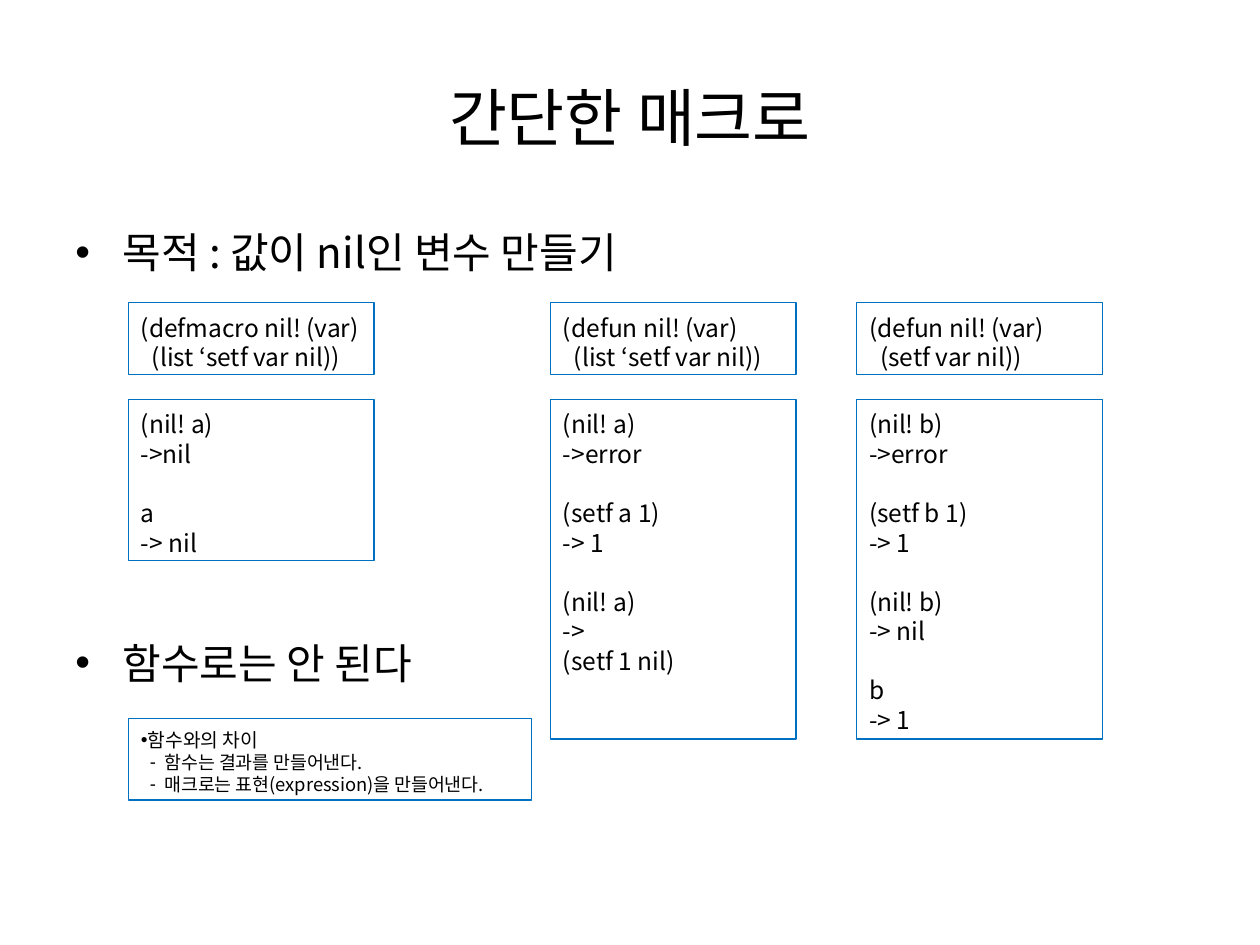
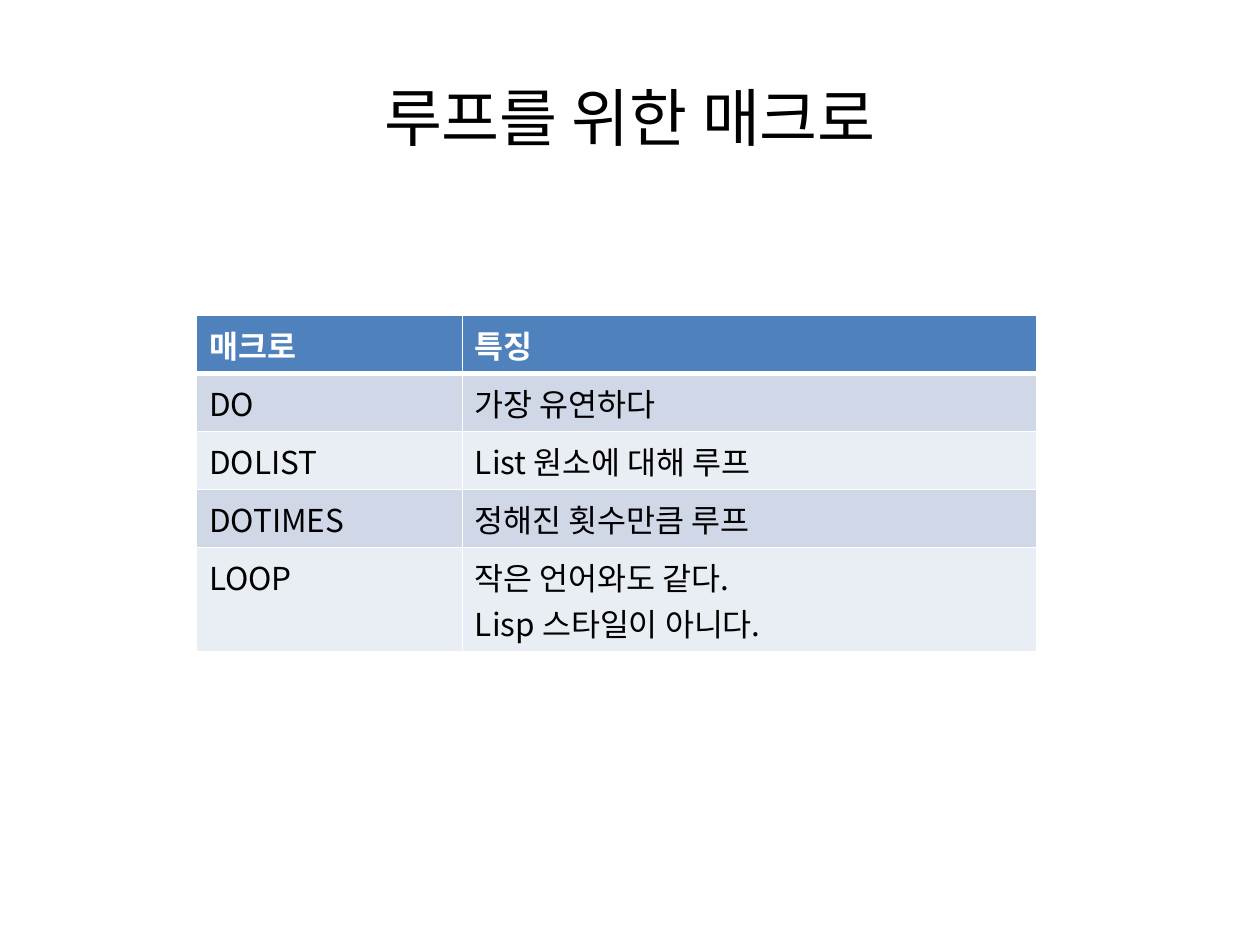
"""Builds two slides on Lisp macros: a simple macro and the looping macros."""
from lxml import etree
from pptx import Presentation
from pptx.dml.color import RGBColor
from pptx.enum.shapes import MSO_SHAPE
from pptx.enum.text import MSO_ANCHOR, PP_ALIGN
from pptx.oxml.ns import qn
from pptx.util import Cm, Pt

RECTANGLE = MSO_SHAPE.RECTANGLE
TOP, MIDDLE = MSO_ANCHOR.TOP, MSO_ANCHOR.MIDDLE
LEFT, CENTER = PP_ALIGN.LEFT, PP_ALIGN.CENTER

TITLES = ["간단한 매크로", "루프를 위한 매크로"]
POINTS = [
    ("목적 : 값이 nil인 변수 만들기", 4.45, 20),
    ("함수로는 안 된다", 12.72, 9.4),
]
EXAMPLES = [
    {"left": 2.59, "rows": 5,
     "definition": ["(defmacro nil! (var)", "  (list ‘setf var nil))"],
     "session": [["(nil! a)", "->nil"], ["a", "-> nil"]]},
    {"left": 11.1, "rows": 11,
     "definition": ["(defun nil! (var)", "  (list ‘setf var nil))"],
     "session": [["(nil! a)", "->error"], ["(setf a 1)", "-> 1"],
                 ["(nil! a)", "->", "(setf 1 nil)"]]},
    {"left": 17.27, "rows": 11,
     "definition": ["(defun nil! (var)", "  (setf var nil))"],
     "session": [["(nil! b)", "->error"], ["(setf b 1)", "-> 1"],
                 ["(nil! b)", "-> nil"], ["b", "-> 1"]]},
]
DIFFERENCE = ["함수와의 차이", "함수는 결과를 만들어낸다.",
              "매크로는 표현(expression)을 만들어낸다."]
MACROS = [
    ("매크로", "특징"),
    ("DO", "가장 유연하다"),
    ("DOLIST", "List 원소에 대해 루프"),
    ("DOTIMES", "정해진 횟수만큼 루프"),
    ("LOOP", "작은 언어와도 같다.\nLisp 스타일이 아니다."),
]

COLORS = {"ink": "000000", "paper": "FFFFFF", "outline": "0070C0",
          "header": "4F81BD", "odd": "D0D8E8", "even": "E9EDF4"}
FONT = "Noto Sans CJK KR"
CODE_PITCH = 16.9
CODE_TOP, DEFINITION_HEIGHT, CODE_GAP = 6.1, 1.45, 0.5
COLUMN_WIDTHS = [5.36, 11.58]
ROW_HEIGHT, LAST_ROW_HEIGHT = 1.17, 2.1


def color(key):
    return RGBColor.from_string(COLORS[key])


def apply(target, values):
    for name, value in values.items():
        setattr(target, name, value)


def write(paragraph, text, size, ink="ink", bold=False, **spacing):
    run = paragraph.add_run()
    run.text = text
    apply(run.font, {"name": FONT, "size": Pt(size), "bold": bold})
    run.font.color.rgb = color(ink)
    etree.SubElement(run.font._element, qn("a:ea"), typeface=FONT)
    apply(paragraph, {"alignment": LEFT, **spacing})


def add_bullet(paragraph, mark, margin=0, hanging=0):
    properties = paragraph._p.get_or_add_pPr()
    properties.set("marL", str(Cm(margin)))
    properties.set("indent", str(Cm(-hanging)))
    etree.SubElement(properties, qn("a:buFont"), typeface="Arial")
    etree.SubElement(properties, qn("a:buChar"), char=mark)


def paragraphs(frame, count):
    return [frame.paragraphs[0]] + [frame.add_paragraph() for _ in range(count - 1)]


def add_text(slide, left, top, width, height, anchor=TOP):
    frame = slide.shapes.add_textbox(Cm(left), Cm(top), Cm(width), Cm(height)).text_frame
    apply(frame, {"word_wrap": True, "vertical_anchor": anchor})
    return frame


def add_panel(slide, left, top, width, height):
    panel = slide.shapes.add_shape(RECTANGLE, Cm(left), Cm(top), Cm(width), Cm(height))
    panel.shadow.inherit = False
    panel.fill.background()
    panel.line.color.rgb = color("outline")
    panel.line.width = Pt(0.75)
    apply(panel.text_frame, {"word_wrap": True, "vertical_anchor": TOP,
                             "margin_top": Cm(0.2), "margin_bottom": Cm(0)})
    return panel.text_frame


def add_code(slide, left, top, height, groups):
    frame = add_panel(slide, left, top, 4.95, height)
    lines = [(line, group > 0 and position == 0)
             for group, block in enumerate(groups) for position, line in enumerate(block)]
    for paragraph, (line, starts_group) in zip(paragraphs(frame, len(lines)), lines):
        write(paragraph, line, 14, line_spacing=Pt(CODE_PITCH),
              space_before=Pt(CODE_PITCH if starts_group else 0))


def add_slide(deck, title):
    slide = deck.slides.add_slide(deck.slide_layouts[6])
    frame = add_text(slide, 1.27, 0.76, 22.86, 3.18, MIDDLE)
    write(frame.paragraphs[0], title, 36, alignment=CENTER)
    return slide


def add_macro_comparison(slide):
    for point, top, width in POINTS:
        paragraph = add_text(slide, 1.27, top, width, 1.5).paragraphs[0]
        add_bullet(paragraph, "•", 0.95, 0.95)
        write(paragraph, point, 24)
    session_top = CODE_TOP + DEFINITION_HEIGHT + CODE_GAP
    for example in EXAMPLES:
        add_code(slide, example["left"], CODE_TOP, DEFINITION_HEIGHT, [example["definition"]])
        session_height = 0.25 + example["rows"] * 0.6
        add_code(slide, example["left"], session_top, session_height, example["session"])
    note = add_panel(slide, 2.59, 14.48, 8.13, 1.65)
    for index, (paragraph, line) in enumerate(zip(paragraphs(note, 3), DIFFERENCE)):
        if index:
            add_bullet(paragraph, "-", 0.48, 0.3)
        else:
            add_bullet(paragraph, "•")
        size = 10.5 if index else 11
        write(paragraph, line, size, line_spacing=Pt(size * 1.2))


def set_borders(cell, widths):
    properties = cell._tc.get_or_add_tcPr()
    for side, width in widths.items():
        border = etree.SubElement(properties, qn(f"a:ln{side}"), w=str(Pt(width)))
        fill = etree.SubElement(border, qn("a:solidFill"))
        etree.SubElement(fill, qn("a:srgbClr"), val=COLORS["paper"])


def add_macro_table(slide):
    heights = [ROW_HEIGHT] * (len(MACROS) - 1) + [LAST_ROW_HEIGHT]
    table = slide.shapes.add_table(len(MACROS), len(COLUMN_WIDTHS), Cm(3.96), Cm(6.36),
                                   Cm(sum(COLUMN_WIDTHS)), Cm(sum(heights))).table
    for column, width in zip(table.columns, COLUMN_WIDTHS):
        column.width = Cm(width)
    for row, entries in enumerate(MACROS):
        table.rows[row].height = Cm(heights[row])
        is_header = row == 0
        background = "header" if is_header else "odd" if row % 2 else "even"
        for column, entry in enumerate(entries):
            cell = table.cell(row, column)
            set_borders(cell, {"L": 1, "R": 1, "T": 3 if row == 1 else 1,
                               "B": 3 if is_header else 1})
            cell.fill.solid()
            cell.fill.fore_color.rgb = color(background)
            lines = entry.split("\n")
            for paragraph, line in zip(paragraphs(cell.text_frame, len(lines)), lines):
                write(paragraph, line, 18, "paper" if is_header else "ink", is_header)


def main():
    deck = Presentation()
    apply(deck, {"slide_width": Cm(25.4), "slide_height": Cm(19.05)})
    for title, add_content in zip(TITLES, [add_macro_comparison, add_macro_table]):
        add_content(add_slide(deck, title))
    deck.save("out.pptx")


if __name__ == "__main__":
    main()
